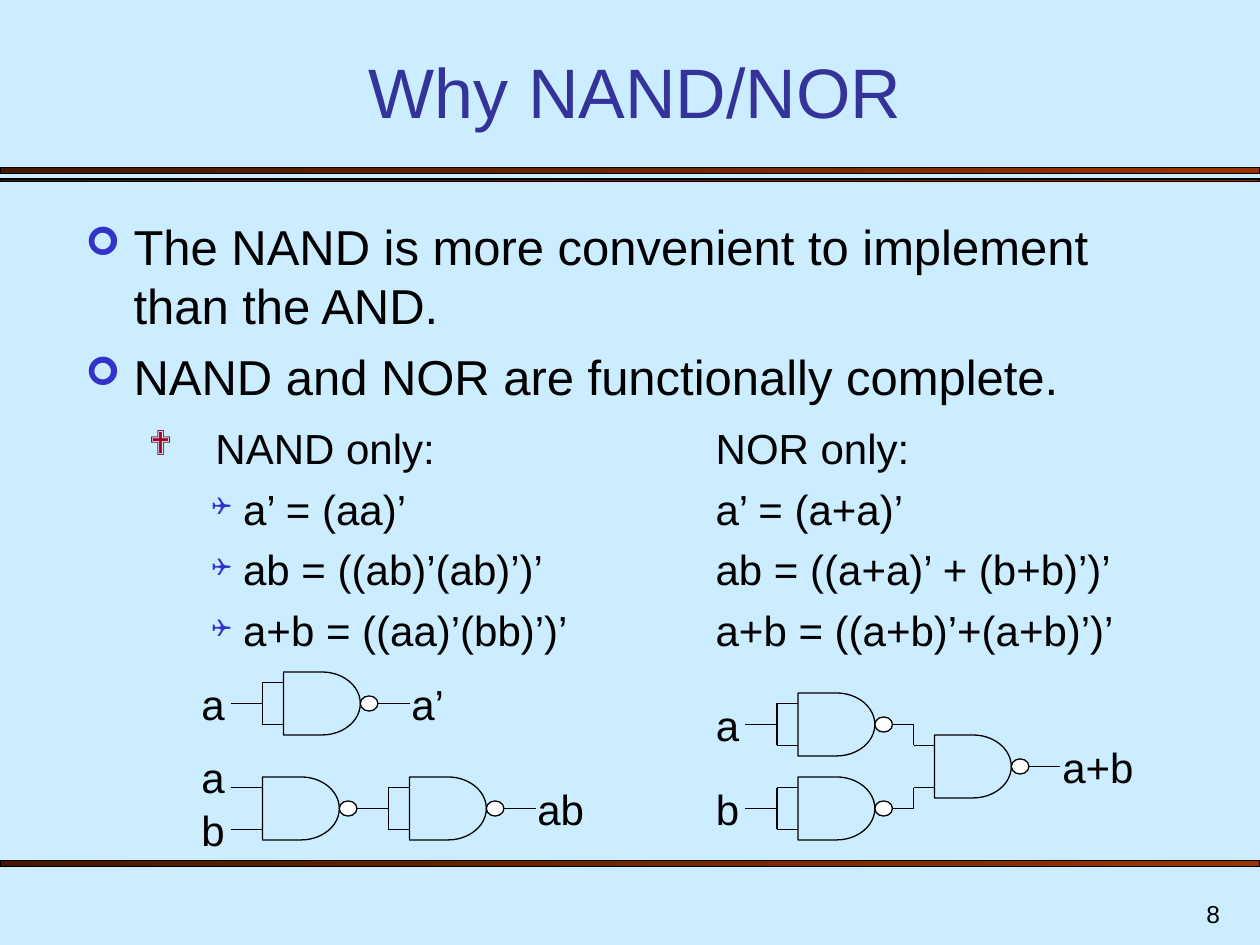
import pptx
import pptx.util
import pptx.dml.color
import pptx.enum.shapes
import pptx.enum.text
import pptx.oxml.ns
import lxml.etree

COLORS = {
    "background": "CCECFF",
    "title": "333399",
    "ink": "000000",
    "bubble": "FFFFFF",
    "bar_dark": "461700",
    "bar_light": "993300",
    "blue_bullet": "3333CC",
    "red_bullet": "A50021",
}
FONT = "Arial"
CELL = 1 / 12
GATE_HEIGHT = 6
GATE_WIDTH = 9
BUBBLE = (0.14, 0.12)
LEAD = 3
STUB = 2
ALIGN = pptx.enum.text.PP_ALIGN
ANCHOR = pptx.enum.text.MSO_ANCHOR
SHAPE = pptx.enum.shapes.MSO_SHAPE

LEVELS = [
    dict(size=28, margin=0.38, hang=0.38, before=7, bullet="➢", bullet_color="blue_bullet", bullet_size=80),
    dict(size=24, margin=1.03, hang=0.53, before=9.5, bullet="❖", bullet_color="red_bullet", bullet_size=82),
    dict(size=24, margin=1.25, hang=0.25, before=6, bullet="❑", bullet_color="blue_bullet", bullet_size=60),
]
POINTS = [
    (0, "The NAND is more convenient to implement than the AND."),
    (0, "NAND and NOR are functionally complete."),
    (1, "NAND only:\t\t\tNOR only:"),
    (2, "a’ = (aa)’\t\t\ta’ = (a+a)’"),
    (2, "ab = ((ab)’(ab)’)’ \t\tab = ((a+a)’ + (b+b)’)’"),
    (2, "a+b = ((aa)’(bb)’)’\t\ta+b = ((a+b)’+(a+b)’)’"),
]


def inch(value):
    return pptx.util.Inches(value)


def color(name):
    return pptx.dml.color.RGBColor.from_string(COLORS[name])


def write(paragraph, text, size=24, ink="ink", align=ALIGN.LEFT, before=0):
    paragraph.alignment = align
    paragraph.space_before = pptx.util.Pt(before)
    run = paragraph.add_run()
    run.text = text
    run.font.size = pptx.util.Pt(size)
    run.font.name = FONT
    run.font.color.rgb = color(ink)


def place(part, left, top, width, height):
    part.left, part.top = inch(left), inch(top)
    part.width, part.height = inch(width), inch(height)


def add_bullet(paragraph, level):
    style = LEVELS[level]
    props = paragraph._p.get_or_add_pPr()
    props.set("marL", str(inch(style["margin"])))
    props.set("indent", str(-inch(style["hang"])))

    def child(parent, tag, **attributes):
        return lxml.etree.SubElement(parent, pptx.oxml.ns.qn(tag), attributes)

    child(child(props, "a:buClr"), "a:srgbClr", val=COLORS[style["bullet_color"]])
    child(props, "a:buSzPct", val=str(style["bullet_size"] * 1000))
    child(props, "a:buFont", typeface="Wingdings")
    child(props, "a:buChar", char=style["bullet"])
    tabs = child(props, "a:tabLst")
    first = 2 if level == 2 else 1
    for stop in range(first, first + 8):
        child(tabs, "a:tab", pos=str(inch(stop)), algn="l")


def fill_body(body):
    place(body, 0.58, 1.67, 8.92, 4.92)
    frame = body.text_frame
    frame.auto_size = pptx.enum.text.MSO_AUTO_SIZE.NONE
    for index, (level, text) in enumerate(POINTS):
        paragraph = frame.add_paragraph() if index else frame.paragraphs[0]
        paragraph.level = level
        write(paragraph, text, size=LEVELS[level]["size"], before=LEVELS[level]["before"])
        add_bullet(paragraph, level)


def add_outline(shapes, kind, left, top, width, height):
    outline = shapes.add_shape(kind, inch(left), inch(top), inch(width), inch(height))
    outline.shadow.inherit = False
    outline.line.color.rgb = color("ink")
    outline.line.width = pptx.util.Pt(0.75)
    return outline


def add_bar(shapes, top, height):
    bar = add_outline(shapes, SHAPE.RECTANGLE, 0, top, 10, height)
    bar.fill.gradient()
    bar.fill.gradient_angle = 0
    for stop, name in zip(bar.fill.gradient_stops, ("bar_dark", "bar_light")):
        stop.color.rgb = color(name)


def add_wire(shapes, *corners):
    for start, end in zip(corners, corners[1:]):
        ends = [inch(step * CELL) for step in start + end]
        wire = shapes.add_connector(pptx.enum.shapes.MSO_CONNECTOR.STRAIGHT, *ends)
        wire.line.color.rgb = color("ink")
        wire.line.width = pptx.util.Pt(0.75)
        lxml.etree.SubElement(wire._element.spPr, pptx.oxml.ns.qn("a:effectLst"))


def add_gate(shapes, col, row, tied=False, output=False):
    middle = row + GATE_HEIGHT / 2
    right = col + GATE_WIDTH
    bubble_width, bubble_height = BUBBLE
    bubble_left = right * CELL - bubble_width
    body = add_outline(shapes, SHAPE.FLOWCHART_DELAY, col * CELL, row * CELL,
                       bubble_left - col * CELL, GATE_HEIGHT * CELL)
    body.fill.background()
    bubble = add_outline(shapes, SHAPE.OVAL, bubble_left, middle * CELL - bubble_height / 2,
                         bubble_width, bubble_height)
    bubble.fill.solid()
    bubble.fill.fore_color.rgb = color("bubble")
    if tied:
        joint = col - STUB
        add_wire(shapes, (col, row + 1), (joint, row + 1), (joint, row + 5), (col, row + 5))
        add_wire(shapes, (joint - LEAD, middle), (joint, middle))
    if output:
        add_wire(shapes, (right, middle), (right + LEAD, middle))


def add_label(shapes, text, col, row, cols=6):
    label = shapes.add_textbox(*[inch(step * CELL) for step in (col, row, cols, 6)])
    label.text_frame.word_wrap = True
    write(label.text_frame.paragraphs[0], text, before=15)


def draw_inverter(shapes):
    add_gate(shapes, 27, 64, tied=True, output=True)
    add_label(shapes, "a", 18, 64)
    add_label(shapes, "a’", 38, 64)


def draw_nand_and(shapes):
    add_gate(shapes, 25, 74)
    add_gate(shapes, 39, 74, tied=True, output=True)
    for row in (75, 79):
        add_wire(shapes, (22, row), (25, row))
    add_label(shapes, "a", 18, 71)
    add_label(shapes, "b", 18, 76)
    add_label(shapes, "ab", 50, 74, cols=7)


def draw_nand_or(shapes):
    for name, row, target in (("a", 66, 71), ("b", 74, 75)):
        add_gate(shapes, 76, row, tied=True)
        add_label(shapes, name, 67, row)
        add_wire(shapes, (85, row + 3), (87, row + 3), (87, target), (89, target))
    add_gate(shapes, 89, 70, output=True)
    add_label(shapes, "a+b", 100, 70, cols=11)


def main():
    deck = pptx.Presentation()
    deck.slide_width, deck.slide_height = inch(10), inch(7.5)
    slide = deck.slides.add_slide(deck.slide_layouts[1])
    slide.background.fill.solid()
    slide.background.fill.fore_color.rgb = color("background")
    for top, height in ((1.33, 0.05), (1.42, 0.02), (6.83, 0.05)):
        add_bar(slide.shapes, top, height)

    title = slide.shapes.title
    place(title, 0.58, 0.42, 8.92, 0.68)
    title.text_frame.auto_size = pptx.enum.text.MSO_AUTO_SIZE.NONE
    title.text_frame.vertical_anchor = ANCHOR.BOTTOM
    write(title.text_frame.paragraphs[0], "Why NAND/NOR", size=40, ink="title", align=ALIGN.CENTER)
    fill_body(slide.placeholders[1])

    for draw in (draw_inverter, draw_nand_and, draw_nand_or):
        draw(slide.shapes.add_group_shape().shapes)

    number = slide.shapes.add_textbox(inch(7.7), inch(7), inch(2.08), inch(0.42))
    number.text_frame.word_wrap = True
    number.text_frame.vertical_anchor = ANCHOR.BOTTOM
    write(number.text_frame.paragraphs[0], "8", size=14, align=ALIGN.RIGHT)
    deck.save("out.pptx")


if __name__ == "__main__":
    main()
